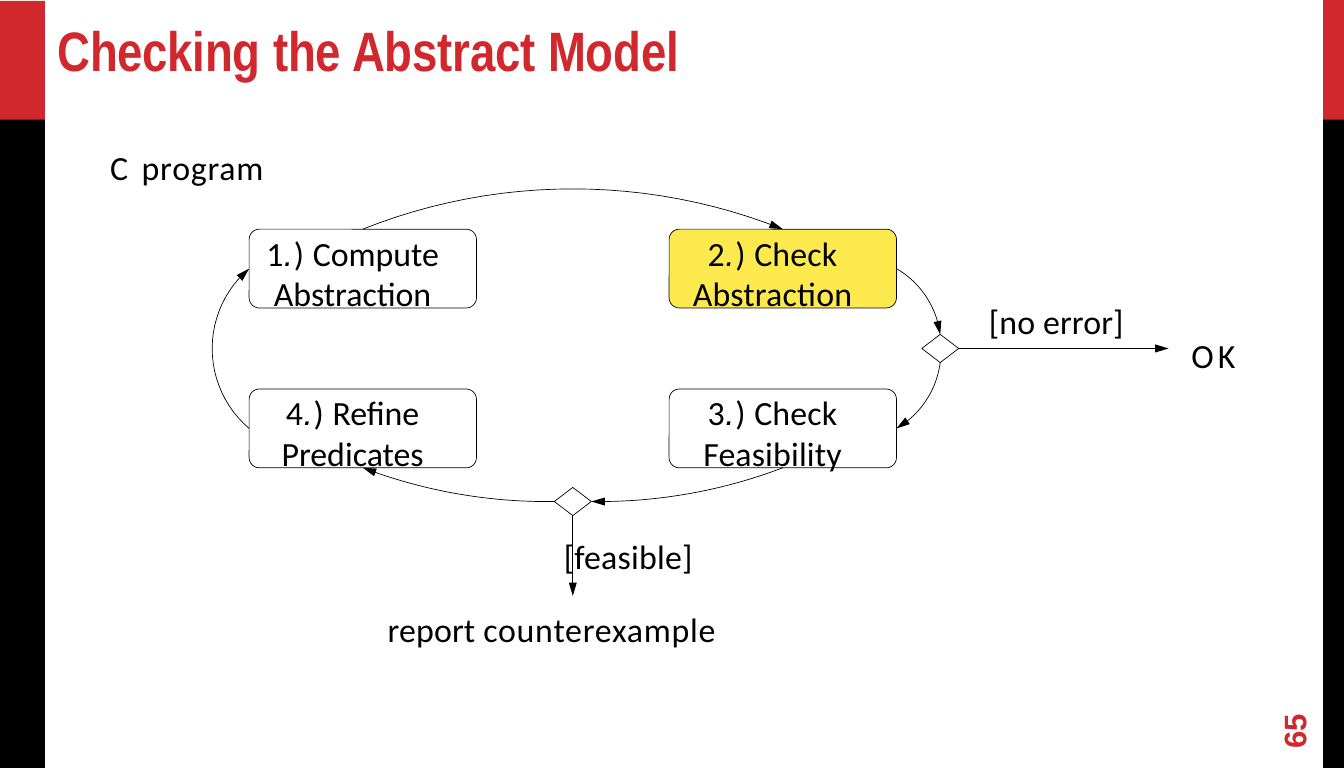
"""Build the slide that shows the abstract model checking cycle."""
from math import asin, cos, hypot, sin

from lxml.etree import SubElement
from pptx import Presentation
from pptx.dml.color import RGBColor
from pptx.enum.shapes import MSO_CONNECTOR, MSO_SHAPE
from pptx.enum.text import MSO_ANCHOR as ANCHOR, PP_ALIGN as ALIGN
from pptx.oxml.ns import qn
from pptx.util import Pt

RED, BLACK, YELLOW = "D1282E", "000000", "FCE94E"
SLIDE_SIZE = (992, 567)
TOP, LEFT, BOTTOM, RIGHT = range(4)

BANDS = [
    (976.7, 0, 15.3, 113, RED),
    (976.7, 88.4, 15.3, 478.6, BLACK),
    (0, 0.7, 33.1, 113, RED),
    (0, 88.4, 33.1, 478.6, BLACK),
]

BODY = {"name": "Calibri", "size": Pt(25)}
TITLE = {"name": "Arial Narrow", "size": Pt(41), "bold": True}
NUMBER = {"name": "Arial", "size": Pt(23), "bold": True}

LABELS = [
    (81.2, 108.3, 140, [("C ", 2.2), ("program", 0.6)]),
    (730, 221.9, 130, [("[no error]", 0.1)]),
    (879.3, 247.2, 60, [("OK", 3.1)]),
    (416.2, 395.3, 130, [("[feasible]", 0.2)]),
    (286.2, 449.2, 280, [("report ", 0.1), ("counterexample", 0.6)]),
]

CENTRE_X, CENTRE_Y = 422.8, 257.3
BOX_SIZE, DIAMOND_SIZE = (167.8, 58.2), (27.3, 20.8)
STEPS = [
    ("compute", -1, -1, "1", "Compute Abstraction", 0, None),
    ("check", 1, -1, "2", "Check Abstraction", 0.15, YELLOW),
    ("feasibility", 1, 1, "3", "Check Feasibility", 0.15, None),
    ("refine", -1, 1, "4", "Refine Predicates", 0, None),
]
DECISIONS = [("error?", 694, CENTRE_Y), ("feasible?", CENTRE_X, 370.3)]
ARCS = [
    ("compute", TOP, "check", TOP, 29.7),
    ("check", RIGHT, "error?", TOP, 6.8),
    ("error?", BOTTOM, "feasibility", RIGHT, 6.8),
    ("feasibility", BOTTOM, "feasible?", RIGHT, 6.8),
    ("feasible?", LEFT, "refine", BOTTOM, 6.8),
    ("refine", LEFT, "compute", LEFT, 27.3),
]
EXITS = [("error?", RIGHT, 862.6, CENTRE_Y), ("feasible?", BOTTOM, CENTRE_X, 440)]


def colour(value):
    return RGBColor.from_string(value)


def style(shape, fill=None, line=None):
    shape.shadow.inherit = False
    if fill:
        shape.fill.solid()
        shape.fill.fore_color.rgb = colour(fill)
    else:
        shape.fill.background()
    if line:
        shape.line.color.rgb = colour(line)
        shape.line.width = Pt(0.5)
    else:
        shape.line.fill.background()


def add_shape(slide, kind, x, y, width, height, fill=None, line=None):
    shape = slide.shapes.add_shape(kind, Pt(x), Pt(y), Pt(width), Pt(height))
    style(shape, fill, line)
    return shape


def write(shape, runs, font, ink=BLACK, align=ALIGN.LEFT, anchor=ANCHOR.TOP, margins=(0, 0, 0, 0)):
    frame = shape.text_frame
    frame.word_wrap = True
    frame.vertical_anchor = anchor
    for side, margin in zip(("left", "top", "right", "bottom"), margins):
        setattr(frame, f"margin_{side}", Pt(margin))
    paragraph = frame.paragraphs[0]
    paragraph.alignment = align
    for text, spacing, *changes in runs:
        run = paragraph.add_run()
        run.text = text
        for name, value in {**font, **(changes[0] if changes else {})}.items():
            setattr(run.font, name, value)
        run.font.color.rgb = colour(ink)
        run.font._element.set("spc", str(round(spacing * 100)))


def add_text(slide, x, y, width, height, runs, font, **options):
    box = slide.shapes.add_textbox(Pt(x), Pt(y), Pt(width), Pt(height))
    write(box, runs, font, **options)
    return box


def side_point(place, side):
    x, y, (width, height) = place
    step_x, step_y = [(0, -1), (-1, 0), (0, 1), (1, 0)][side]
    return x + step_x * width / 2, y + step_y * height / 2


def arc_points(start, end, rise, count=24):
    (x1, y1), (x2, y2) = start, end
    chord = hypot(x2 - x1, y2 - y1)
    along_x, along_y = (x2 - x1) / chord, (y2 - y1) / chord
    out_x, out_y = along_y, -along_x
    radius = (chord ** 2 / 4 + rise ** 2) / (2 * rise)
    half = asin(chord / 2 / radius)
    for index in range(count + 1):
        angle = half * (2 * index / count - 1)
        outward, forward = radius * (cos(angle) - 1) + rise, radius * sin(angle)
        yield (Pt((x1 + x2) / 2 + out_x * outward + along_x * forward),
               Pt((y1 + y2) / 2 + out_y * outward + along_y * forward))


def add_arrowhead(shape):
    line = shape.line._get_or_add_ln()
    SubElement(line, qn("a:tailEnd"), type="triangle", w="med", len="lg")


def add_cycle(slide):
    places, diamonds = {}, {}
    for name, column, row, number, text, spacing, fill in STEPS:
        x, y = CENTRE_X + column * 155, CENTRE_Y + row * 59
        places[name] = (x, y, BOX_SIZE)
        width, height = BOX_SIZE
        box = add_shape(slide, MSO_SHAPE.ROUNDED_RECTANGLE, x - width / 2, y - height / 2,
                        width, height, fill, BLACK)
        box.adjustments[0] = 0.13
        runs = [(number, 0.4), (".", 0.4, {"name": "Arial", "italic": True}), (") ", 0.4), (text, spacing)]
        write(box, runs, BODY, align=ALIGN.CENTER, margins=(0, 0, 15, 0))
    for name, x, y in DECISIONS:
        places[name] = (x, y, DIAMOND_SIZE)
        width, height = DIAMOND_SIZE
        diamonds[name] = add_shape(slide, MSO_SHAPE.DIAMOND, x - width / 2, y - height / 2,
                                   width, height, line=BLACK)
    for source, source_side, target, target_side, rise in ARCS:
        first, *rest = arc_points(side_point(places[source], source_side),
                                  side_point(places[target], target_side), rise)
        builder = slide.shapes.build_freeform(*first, scale=1.0)
        builder.add_line_segments(rest, close=False)
        arc = builder.convert_to_shape()
        style(arc, line=BLACK)
        add_arrowhead(arc)
    for name, side, x, y in EXITS:
        start_x, start_y = side_point(places[name], side)
        arrow = slide.shapes.add_connector(MSO_CONNECTOR.STRAIGHT, Pt(start_x), Pt(start_y), Pt(x), Pt(y))
        arrow.begin_connect(diamonds[name], side)
        arrow.line.color.rgb = colour(BLACK)
        arrow.line.width = Pt(0.5)
        add_arrowhead(arrow)
        SubElement(arrow._element.spPr, qn("a:effectLst"))


def main():
    presentation = Presentation()
    presentation.slide_width, presentation.slide_height = map(Pt, SLIDE_SIZE)
    slide = presentation.slides.add_slide(presentation.slide_layouts[6])
    for x, y, width, height, fill in BANDS:
        add_shape(slide, MSO_SHAPE.RECTANGLE, x, y, width, height, fill)
    add_text(slide, 40.3, 9.4, 936, 51.8, [("Checking ", -0.2), ("the Abstract Model", -0.1)], TITLE,
             ink=RED, anchor=ANCHOR.BOTTOM, margins=(2.2, 2.2, 0, 0))
    add_cycle(slide)
    for x, y, width, runs in LABELS:
        add_text(slide, x, y, width, 30.5, runs, BODY)
    number = add_text(slide, 925.9, 519.1, 58.3, 24.5, [("65", 0)], NUMBER, ink=RED,
                      anchor=ANCHOR.MIDDLE, margins=(8, 4.3, 8, 4.3))
    number.rotation = 270
    presentation.save("out.pptx")


if __name__ == "__main__":
    main()
